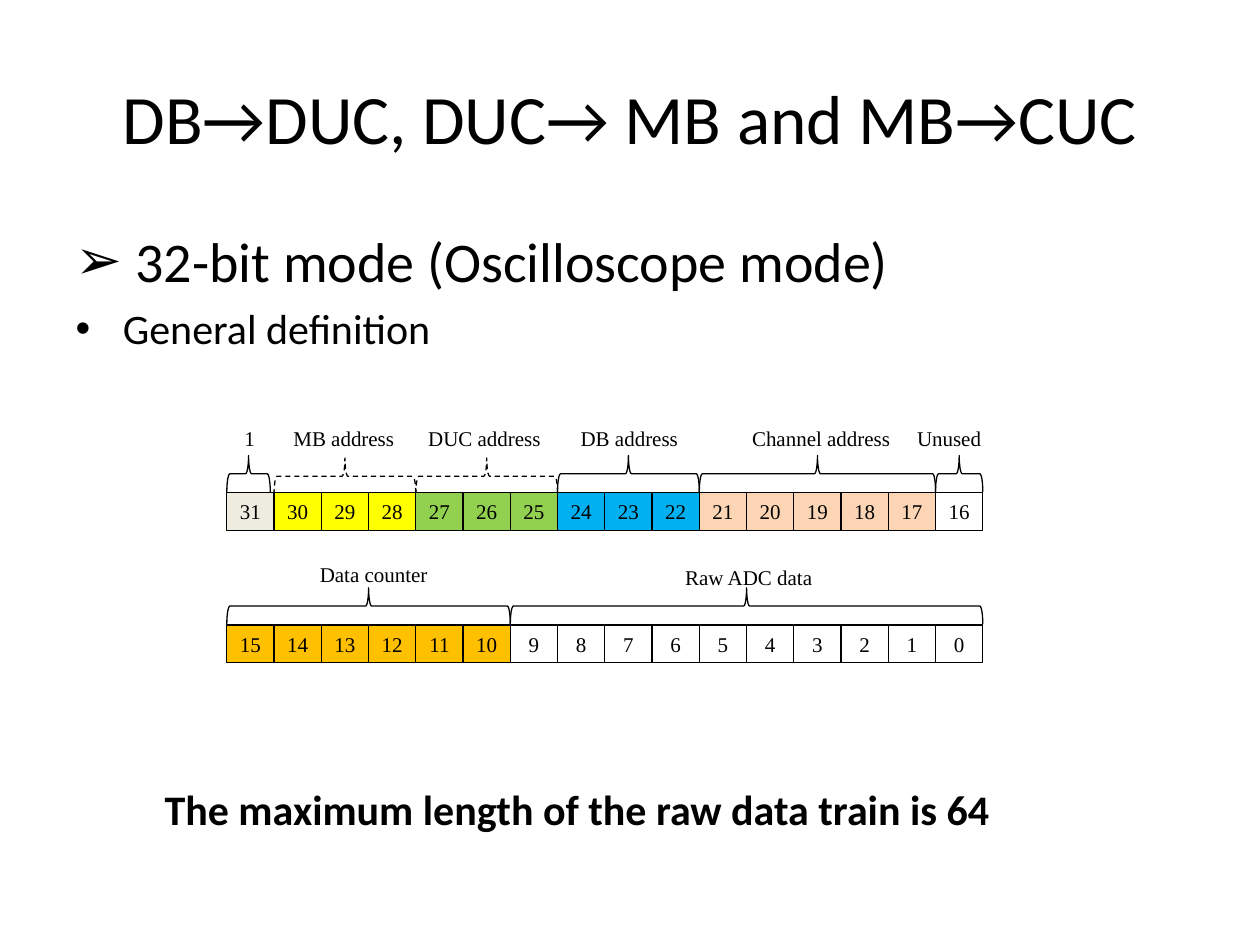
from lxml import etree
from pptx import Presentation
from pptx.dml.color import RGBColor as RGB
from pptx.enum.dml import MSO_LINE as DASH
from pptx.enum.shapes import MSO_SHAPE as SHAPE
from pptx.enum.text import MSO_ANCHOR as ANCHOR, MSO_AUTO_SIZE as AUTO, PP_ALIGN as ALIGN
from pptx.oxml.ns import qn
from pptx.util import Inches, Pt

COLORS = {
    "black": "000000", "gray": "EEECE1", "yellow": "FFFF00", "green": "92D050",
    "blue": "00B0F0", "peach": "FCD5B5", "orange": "FFC000",
}
BLACK = RGB.from_string(COLORS["black"])
LEFT, CELL, HIGH, DEEP = 1.8, 0.375, 0.3, 0.29


def style(para, size, font="Times New Roman", align=None, bold=None):
    para.font.size = Pt(size)
    para.font.name = font
    para.font.bold = bold
    para.font.color.rgb = BLACK
    if align is not None:
        para.alignment = align


def draw(kind, x, y, w, h, color=None):
    shape = slide.shapes.add_shape(kind, Inches(x), Inches(y), Inches(w), Inches(h))
    shape.shadow.inherit = False
    if color:
        shape.fill.solid()
        shape.fill.fore_color.rgb = RGB.from_string(COLORS[color])
    else:
        shape.fill.background()
    shape.line.color.rgb = BLACK
    shape.line.width = Pt(0.75)
    return shape


deck = Presentation()
deck.slide_width, deck.slide_height = Inches(10), Inches(7.5)
slide = deck.slides.add_slide(deck.slide_layouts[1])

title, body = slide.placeholders
for holder, top, high in ((title, 0.3, 1.25), (body, 1.75, 4.95)):
    holder.left, holder.top = Inches(0.5), Inches(top)
    holder.width, holder.height = Inches(9), Inches(high)
    holder.text_frame.auto_size = AUTO.NONE

title.text_frame.text = "DB→DUC, DUC→ MB and MB→CUC"
style(title.text_frame.paragraphs[0], 39.6, "Calibri", ALIGN.CENTER)

body.text_frame.text = " 32-bit mode (Oscilloscope mode)\nGeneral definition"
for para, size, mark in zip(body.text_frame.paragraphs, (32, 24), "➢•"):
    style(para, size, "Calibri")
    props = para._p.get_or_add_pPr()
    etree.SubElement(props, qn("a:buFont")).set("typeface", "Arial")
    etree.SubElement(props, qn("a:buChar")).set("char", mark)
    props.append(props.find(qn("a:defRPr")))

rows = [
    (31, 3.91, [
        ("1", 1, "gray", 1.84, 3.33, 0.29),
        ("MB address", 3, "yellow", 2.23, 3.33, 1.01),
        ("DUC address", 3, "green", 3.3, 3.33, 1.1),
        ("DB address", 3, "blue", 4.51, 3.33, 0.98),
        ("Channel address", 5, "peach", 5.87, 3.33, 1.31),
        ("Unused", 1, None, 7.18, 3.33, 0.77),
    ]),
    (15, 4.96, [
        ("Data counter", 6, "orange", 2.44, 4.41, 1.07),
        ("Raw ADC data", 10, None, 5.34, 4.43, 1.26),
    ]),
]

for bit, top, fields in rows:
    x = LEFT
    for label, count, color, left, high, wide in fields:
        dashed = label in ("MB address", "DUC address")
        span = count * CELL - (0.03 if label == "1" else 0)
        mid = top - (0.13 if dashed else 0.15)
        brace = draw(SHAPE.LEFT_BRACE, x + span / 2 - DEEP / 2, mid - span / 2, DEEP, span)
        brace.rotation = 90
        if dashed:
            brace.line.dash_style = DASH.DASH

        box = slide.shapes.add_textbox(Inches(left), Inches(high), Inches(wide), Inches(HIGH))
        box.text_frame.text = label
        box.text_frame.word_wrap = label == "Unused"
        style(box.text_frame.paragraphs[0], 12)

        for _ in range(count):
            cell = draw(SHAPE.RECTANGLE, x, top, CELL, HIGH, color)
            cell.text_frame.text = str(bit)
            cell.text_frame.word_wrap = False
            cell.text_frame.vertical_anchor = ANCHOR.MIDDLE
            style(cell.text_frame.paragraphs[0], 12, align=ALIGN.CENTER)
            bit -= 1
            x += CELL

note = slide.shapes.add_textbox(Inches(0.83), Inches(6.17), Inches(7.5), Inches(0.5))
note.text_frame.word_wrap = True
note.text_frame.text = "The maximum length of the raw data train is 64"
style(note.text_frame.paragraphs[0], 24, "Calibri", ALIGN.CENTER, True)

deck.save("out.pptx")
